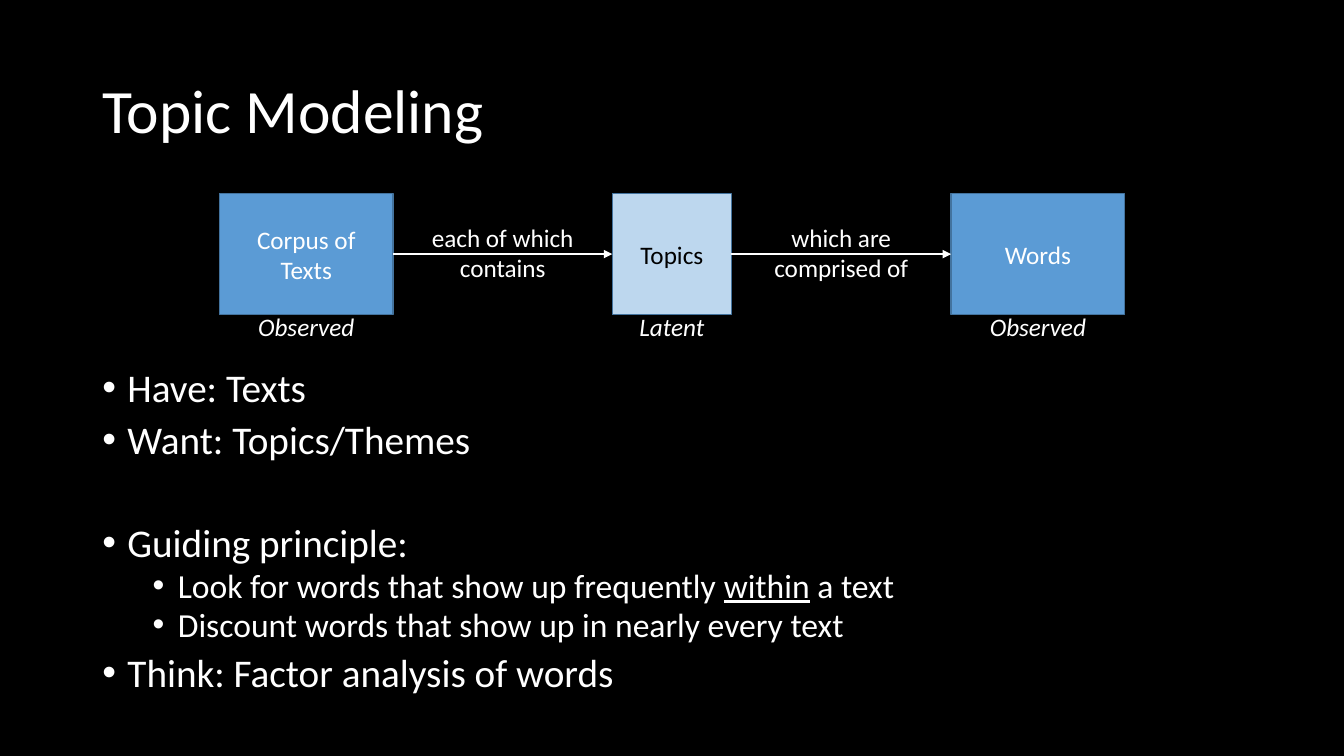
from dataclasses import dataclass

from lxml.etree import SubElement
from pptx import Presentation
from pptx.dml.color import RGBColor
from pptx.enum.shapes import MSO_CONNECTOR, MSO_SHAPE
from pptx.enum.text import MSO_ANCHOR, PP_ALIGN
from pptx.oxml.ns import qn
from pptx.util import Pt


@dataclass(frozen=True)
class Theme:
    """Colours, font and type sizes of the slide."""
    font: str = "Calibri"
    background: str = "000000"
    text: str = "FFFFFF"
    dark_text: str = "000000"
    observed: str = "5B9BD5"
    latent: str = "BDD7EE"
    outline: str = "43739E"
    title_size: int = 44
    bullet_size: int = 28
    detail_size: int = 24
    diagram_size: int = 18


def add_text(paragraph, text, *, font, size, color, italic=False, underline=False):
    """Add one formatted run to a paragraph."""
    run = paragraph.add_run()
    run.text = text
    run.font.name = font
    run.font.size = Pt(size)
    run.font.color.rgb = RGBColor.from_string(color)
    run.font.italic = italic
    run.font.underline = underline


class SlideBuilder:
    """Draws themed elements on one slide."""

    def __init__(self, presentation, theme):
        """Add a blank slide with the theme background."""
        self.theme = theme
        self.slide = presentation.slides.add_slide(presentation.slide_layouts[6])
        fill = self.slide.background.fill
        fill.solid()
        fill.fore_color.rgb = RGBColor.from_string(theme.background)

    def themed_text(self, paragraph, text, size, color=None, **formatting):
        """Add text in the theme font."""
        add_text(paragraph, text, font=self.theme.font, size=size,
                 color=color or self.theme.text, **formatting)

    def text_frame(self, left, top, width, height, anchor=MSO_ANCHOR.TOP):
        """Add a wrapping text box and return its frame."""
        shape = self.slide.shapes.add_textbox(Pt(left), Pt(top), Pt(width), Pt(height))
        frame = shape.text_frame
        frame.word_wrap = True
        frame.vertical_anchor = anchor
        return frame

    def title(self, text, left, top, width, height):
        """Add the slide title."""
        paragraph = self.text_frame(left, top, width, height, MSO_ANCHOR.MIDDLE).paragraphs[0]
        paragraph.line_spacing = 0.9
        self.themed_text(paragraph, text, self.theme.title_size)

    def label(self, text, center, top, width, height, italic=False):
        """Add a diagram label centred on a horizontal position."""
        paragraph = self.text_frame(center - width / 2, top, width, height).paragraphs[0]
        paragraph.alignment = PP_ALIGN.CENTER
        self.themed_text(paragraph, text, self.theme.diagram_size, italic=italic)

    def box(self, text, left, top, width, height, fill, color):
        """Add an outlined rectangle with centred text."""
        shape = self.slide.shapes.add_shape(
            MSO_SHAPE.RECTANGLE, Pt(left), Pt(top), Pt(width), Pt(height))
        shape.shadow.inherit = False
        shape.fill.solid()
        shape.fill.fore_color.rgb = RGBColor.from_string(fill)
        shape.line.color.rgb = RGBColor.from_string(self.theme.outline)
        shape.line.width = Pt(1)
        shape.text_frame.word_wrap = True
        shape.text_frame.vertical_anchor = MSO_ANCHOR.MIDDLE
        paragraph = shape.text_frame.paragraphs[0]
        paragraph.alignment = PP_ALIGN.CENTER
        self.themed_text(paragraph, text, self.theme.diagram_size, color)
        return shape

    def arrow(self, source, target):
        """Join the right side of one box to the left side of another."""
        connector = self.slide.shapes.add_connector(
            MSO_CONNECTOR.STRAIGHT, Pt(0), Pt(0), Pt(0), Pt(0))
        connector.begin_connect(source, 3)
        connector.end_connect(target, 1)
        connector.line.color.rgb = RGBColor.from_string(self.theme.text)
        connector.line.width = Pt(2)
        properties = connector._element.spPr
        SubElement(properties.find(qn("a:ln")), qn("a:tailEnd"), type="triangle")
        SubElement(properties, qn("a:effectLst"))

    def bullets(self, items, left, top, width, height):
        """Add a list of (level, space before, runs) bullets."""
        frame = self.text_frame(left, top, width, height)
        for index, (level, space_before, runs) in enumerate(items):
            paragraph = frame.add_paragraph() if index else frame.paragraphs[0]
            paragraph.level = level
            paragraph.line_spacing = 0.8
            paragraph.space_before = Pt(space_before)
            properties = paragraph._p.get_or_add_pPr()
            properties.set("marL", str(Pt(18 + 36 * level)))
            properties.set("indent", str(Pt(-18)))
            SubElement(properties, qn("a:buFont"), typeface="Arial")
            SubElement(properties, qn("a:buChar"), char="•")
            size = self.theme.detail_size if level else self.theme.bullet_size
            for text, underline in runs:
                self.themed_text(paragraph, text, size, underline=underline)


def main():
    """Build and save the topic modeling slide."""
    presentation = Presentation()
    presentation.slide_width, presentation.slide_height = Pt(960), Pt(540)
    theme = Theme()
    builder = SlideBuilder(presentation, theme)
    builder.title("Topic Modeling", 66, 28.75, 828, 104.4)
    builder.bullets([
        (0, 10, [("Have: Texts", False)]),
        (0, 10, [("Want: Topics/Themes", False)]),
        (0, 46.8, [("Guiding principle:", False)]),
        (1, 5, [("Look for words that show up frequently ", False),
                ("within", True), (" a text", False)]),
        (1, 5, [("Discount words that show up in nearly every text", False)]),
        (0, 10, [("Think: Factor analysis of words", False)]),
    ], 66, 262.8, 808.5, 256.3)

    stages = [
        ("Corpus of Texts", "Observed", 156.8, 124, theme.observed, theme.text),
        ("Topics", "Latent", 437.4, 85, theme.latent, theme.dark_text),
        ("Words", "Observed", 679.4, 124, theme.observed, theme.text),
    ]
    boxes = []
    for name, caption, left, width, fill, color in stages:
        boxes.append(builder.box(name, left, 138.3, width, 86.4, fill, color))
        builder.label(caption, left + width / 2, 219, 84.2, 29, italic=True)

    relations = ["each of which contains", "which are comprised of"]
    for relation, source, target in zip(relations, boxes, boxes[1:]):
        builder.arrow(source, target)
        center = (source.left.pt + source.width.pt + target.left.pt) / 2
        builder.label(relation, center, 155, 129, 51)

    presentation.save("out.pptx")


if __name__ == "__main__":
    main()
